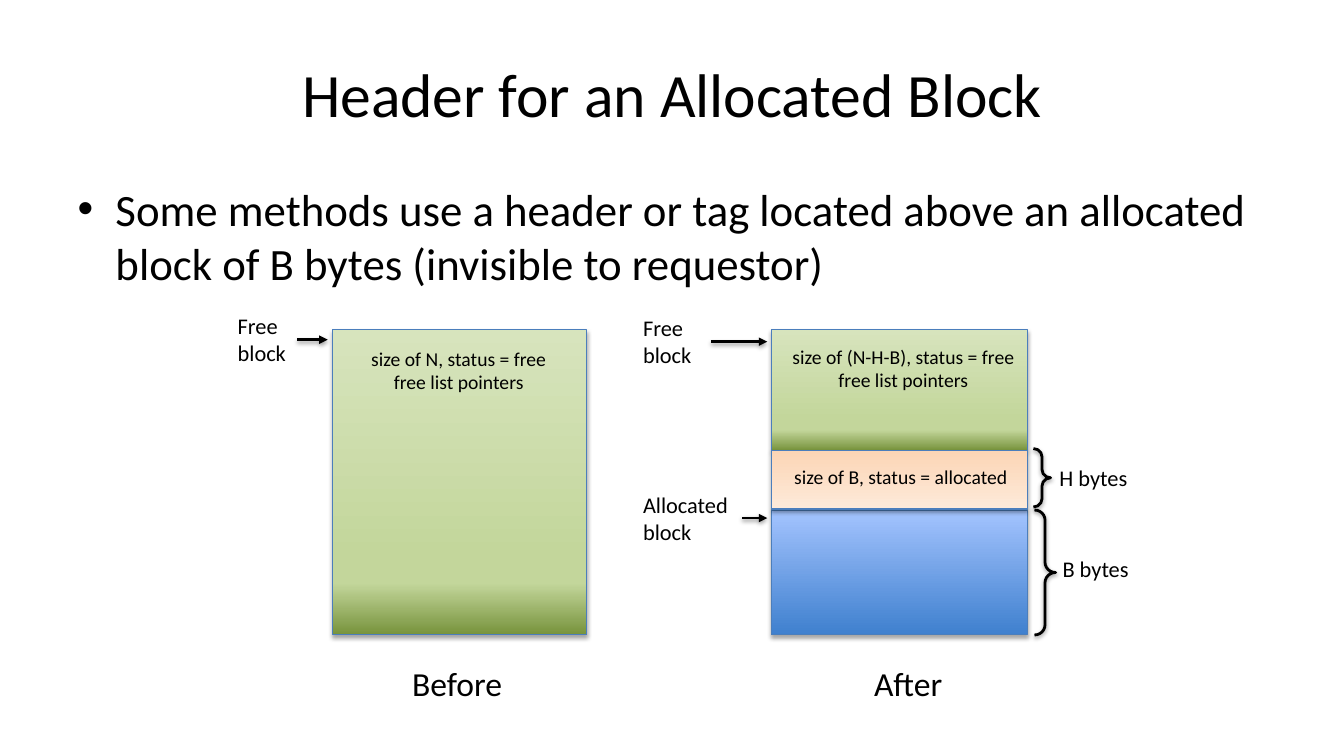
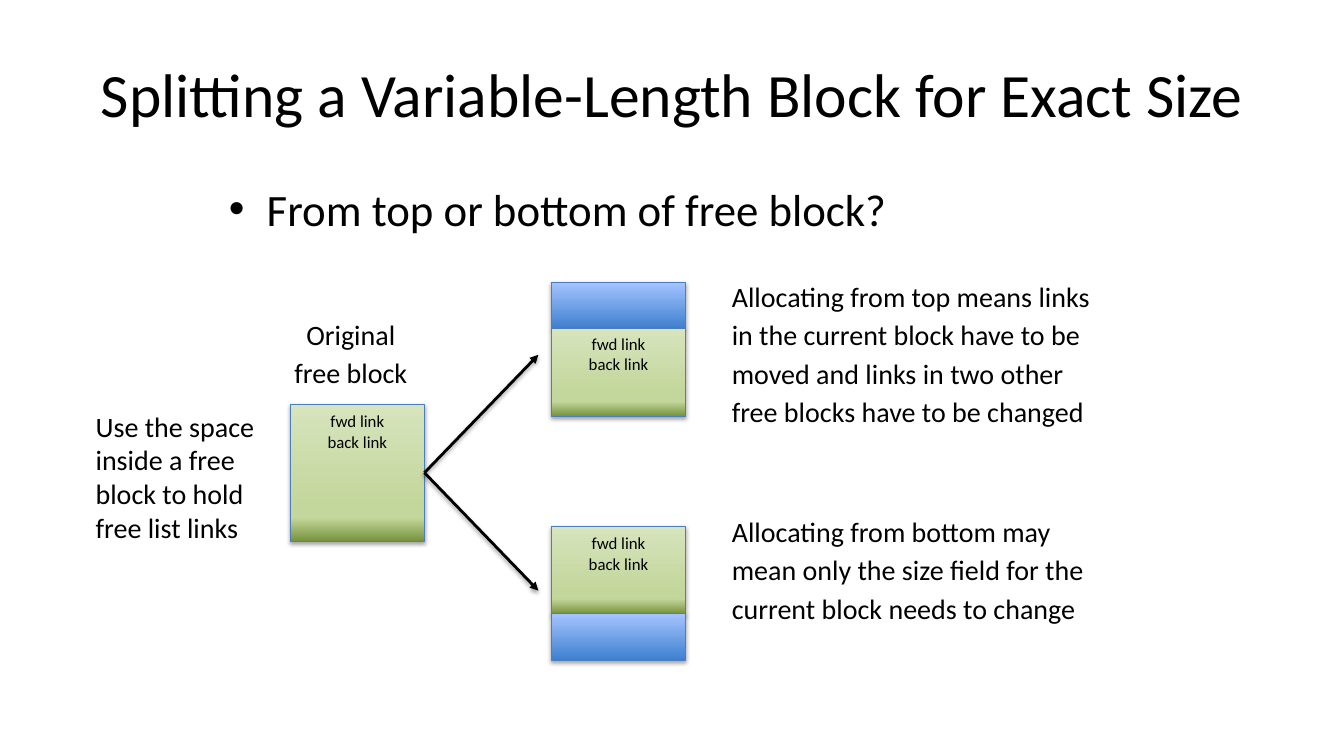
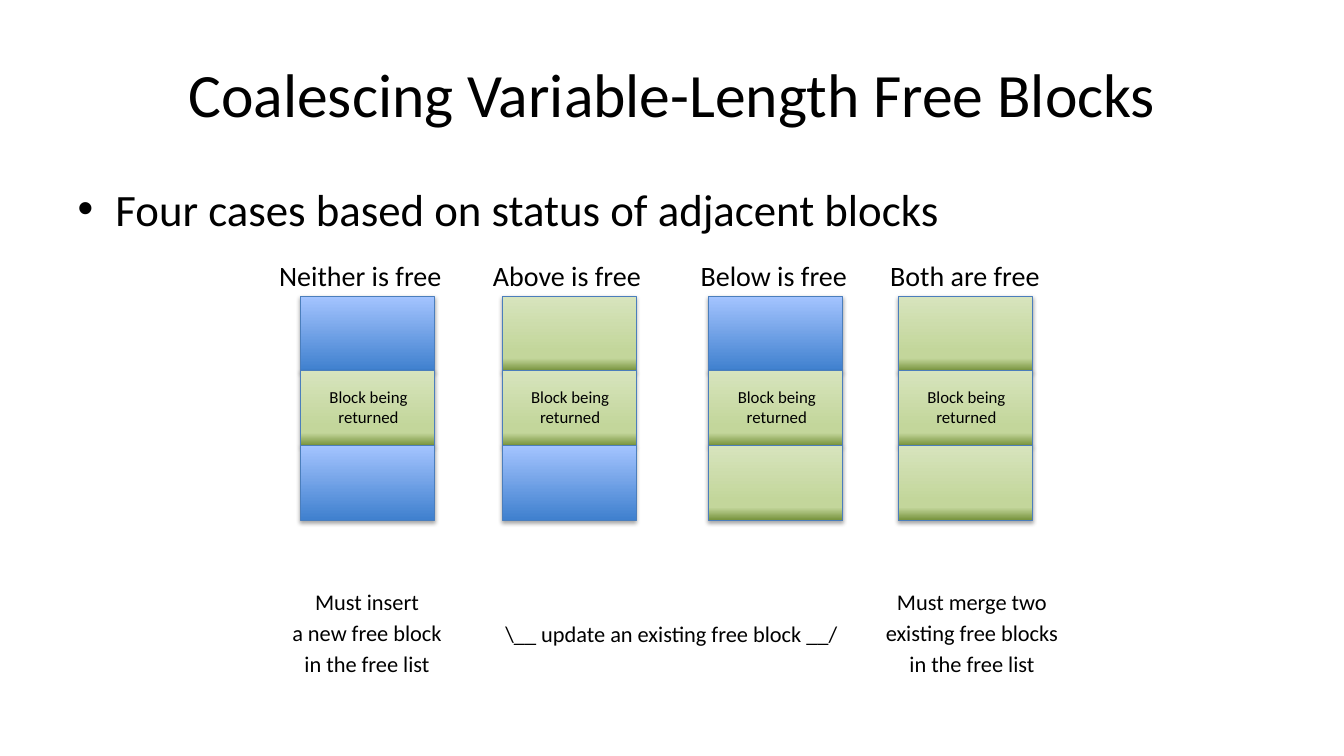
from dataclasses import dataclass
from itertools import product

from lxml.etree import SubElement
from pptx import Presentation
from pptx.dml.color import RGBColor
from pptx.enum.shapes import MSO_CONNECTOR, MSO_SHAPE
from pptx.enum.text import MSO_ANCHOR, PP_ALIGN
from pptx.oxml import parse_xml
from pptx.oxml.ns import nsdecls, qn
from pptx.slide import Slide
from pptx.util import Inches, Pt

COLORS = {
    "text": "000000",
    "outline": "4B7EBC",
    "shadow": "000000",
    "free_light": "D7E4BD",
    "free_mid": "C3D69B",
    "free_dark": "77933C",
    "allocated_light": "A4C4FF",
    "allocated_dark": "3F80CE",
    "header_light": "FDEADA",
    "header_dark": "FCD5B5",
}
GRADIENTS = {
    "free": [(0, "free_light"), (74, "free_mid"), (83, "free_mid"), (100, "free_dark")],
    "allocated": [(0, "allocated_light"), (100, "allocated_dark")],
    "header": [(0, "header_dark"), (100, "header_light")],
}
FONT_FORMAT = {"name": "Calibri", "bold": False}
FRAME_FORMAT = {"word_wrap": True, "vertical_anchor": MSO_ANCHOR.TOP}
BLOCK_WIDTH = 1.33
FREE_HEIGHT = 0.87
USED_HEIGHT = 0.46
ROW_HEIGHT = 0.74
LINKS = "fwd link\nback link"


@dataclass
class Block:
    status: str
    left: float
    top: float
    width: float
    height: float


@dataclass
class Label:
    text: str
    left: float
    top: float
    width: float
    height: float
    size: float
    align: PP_ALIGN = PP_ALIGN.LEFT
    gap: float = 0


@dataclass
class Arrow:
    start: tuple[float, float]
    end: tuple[float, float]


@dataclass
class Brace:
    left: float
    top: float
    width: float
    height: float


@dataclass
class Case:
    heading: str
    heading_left: float
    left: float
    above: str
    below: str


def rgb(color: str) -> RGBColor:
    return RGBColor.from_string(COLORS[color])


def box(item) -> tuple:
    return tuple(Inches(v) for v in (item.left, item.top, item.width, item.height))


def format_text(frame, size: float, align: PP_ALIGN, gap: float = 0) -> None:
    for paragraph in frame.paragraphs:
        paragraph.alignment = align
        if gap:
            paragraph.space_after = Pt(gap)
        for run in paragraph.runs:
            run.font.color.rgb = rgb("text")
            for name, value in {**FONT_FORMAT, "size": Pt(size)}.items():
                setattr(run.font, name, value)


def cast_shadow(drawn, opacity: int, distance: float) -> None:
    properties = drawn.element.spPr
    for effects in properties.findall(qn("a:effectLst")):
        properties.remove(effects)
    properties.append(parse_xml(
        f'<a:effectLst {nsdecls("a")}><a:outerShdw blurRad="{Pt(3.1)}" '
        f'dist="{Pt(distance)}" dir="5400000" rotWithShape="0">'
        f'<a:srgbClr val="{COLORS["shadow"]}"><a:alpha val="{opacity * 1000}"/>'
        "</a:srgbClr></a:outerShdw></a:effectLst>"))


def draw_line(drawn, color: str, width: float) -> None:
    drawn.line.color.rgb = rgb(color)
    drawn.line.width = Pt(width)


def add_block(slide: Slide, block: Block) -> None:
    rect = slide.shapes.add_shape(MSO_SHAPE.RECTANGLE, *box(block))
    rect.fill.background()
    stops = "".join(
        f'<a:gs pos="{position * 1000}"><a:srgbClr val="{COLORS[color]}"/></a:gs>'
        for position, color in GRADIENTS[block.status])
    gradient = parse_xml(
        f'<a:gradFill {nsdecls("a")} rotWithShape="1"><a:gsLst>{stops}</a:gsLst>'
        '<a:lin ang="5400000" scaled="0"/></a:gradFill>')
    properties = rect.element.spPr
    properties.replace(properties.find(qn("a:noFill")), gradient)
    draw_line(rect, "outline", 0.75)
    cast_shadow(rect, 35, 1.8)


def add_label(slide: Slide, label: Label) -> None:
    frame = slide.shapes.add_textbox(*box(label)).text_frame
    for name, value in FRAME_FORMAT.items():
        setattr(frame, name, value)
    frame.text = label.text
    format_text(frame, label.size, label.align, label.gap)


def add_arrow(slide: Slide, arrow: Arrow) -> None:
    ends = [Inches(v) for v in (*arrow.start, *arrow.end)]
    connector = slide.shapes.add_connector(MSO_CONNECTOR.STRAIGHT, *ends)
    draw_line(connector, "text", 2)
    SubElement(connector.element.spPr.find(qn("a:ln")), qn("a:tailEnd"), type="triangle")
    cast_shadow(connector, 38, 1.6)


def add_brace(slide: Slide, brace: Brace) -> None:
    curve = slide.shapes.add_shape(MSO_SHAPE.RIGHT_BRACE, *box(brace))
    curve.adjustments[0] = 0.48
    curve.fill.background()
    draw_line(curve, "text", 2)
    cast_shadow(curve, 38, 1.6)


DRAWERS = {Block: add_block, Label: add_label, Arrow: add_arrow, Brace: add_brace}


def add_slide(deck, title: str, bullet: str, parts: list,
              body_left: float = 0.67, body_width: float = 12) -> None:
    slide = deck.slides.add_slide(deck.slide_layouts[1])
    heading, body = slide.shapes.title, slide.placeholders[1]
    placements = [
        (heading, title, (0.67, 0.3, 12, 1.25), 44, PP_ALIGN.CENTER),
        (body, bullet, (body_left, 1.75, body_width, 4.95), 32, PP_ALIGN.LEFT),
    ]
    for placeholder, text, place, size, align in placements:
        for side, value in zip(("left", "top", "width", "height"), place):
            setattr(placeholder, side, Inches(value))
        placeholder.text_frame.text = text
        format_text(placeholder.text_frame, size, align)
    for part in parts:
        DRAWERS[type(part)](slide, part)


def centered(text: str, left: float, top: float, width: float, height: float,
             size: float, gap: float = 0) -> Label:
    return Label(text, left, top, width, height, size, PP_ALIGN.CENTER, gap)


def header_parts() -> list:
    return [
        Block("free", 3.3, 3.27, 2.52, 3.03),
        Block("free", 7.65, 3.27, 2.54, 1.2),
        Block("allocated", 7.65, 5.06, 2.54, 1.24),
        Block("header", 7.65, 4.47, 2.54, 0.58),
        Label("Free\nblock", 2.26, 3.05, 0.77, 0.64, 16),
        Label("Free\nblock", 6.28, 3.07, 0.77, 0.64, 16),
        Label("Allocated\nblock", 6.28, 4.82, 1.07, 0.64, 16),
        centered("size of N, status = free\nfree list pointers", 3.37, 3.39, 2.36, 0.57, 14),
        centered("size of B, status = allocated", 7.68, 4.56, 2.51, 0.34, 14),
        centered("size of (N-H-B), status = free\nfree list pointers",
                 7.73, 3.37, 2.46, 0.57, 14),
        Arrow((7.36, 5.14), (7.61, 5.14)),
        Arrow((7.05, 3.39), (7.61, 3.39)),
        Arrow((2.95, 3.37), (3.25, 3.37)),
        Brace(10.26, 5.06, 0.21, 1.24),
        Brace(10.25, 4.45, 0.17, 0.58),
        Label("B bytes", 10.44, 5.46, 0.94, 0.37, 16),
        Label("H bytes", 10.41, 4.56, 0.94, 0.37, 16),
        Label("Before", 3.99, 6.53, 1.14, 0.5, 24),
        Label("After", 8.57, 6.53, 0.95, 0.5, 24),
    ]


def splitting_parts() -> list:
    original_left, split_left = 2.88, 5.47
    link_inset, link_width = 0.15, 1.03
    return [
        Block("free", original_left, 4.01, BLOCK_WIDTH, 1.36),
        Block("free", split_left, 5.22, BLOCK_WIDTH, FREE_HEIGHT),
        Block("allocated", split_left, 5.22 + FREE_HEIGHT, BLOCK_WIDTH, USED_HEIGHT),
        Block("allocated", split_left, 2.8, BLOCK_WIDTH, USED_HEIGHT),
        Block("free", split_left, 2.8 + USED_HEIGHT, BLOCK_WIDTH, FREE_HEIGHT),
        *(Arrow((4.21, 4.69), (5.34, tip)) for tip in (3.52, 5.86)),
        *(centered(LINKS, left + link_inset, top, link_width, 0.5, 12)
          for left, top in ((original_left, 4.03), (split_left, 5.24), (split_left, 3.26))),
        Label("Use the space\ninside a free\nblock to hold\nfree list links",
              0.85, 4.01, 1.9, 1.45, 20),
        centered("Original\nfree block", 2.68, 3.1, 1.6, 0.9, 20, 3.5),
        Label("Allocating from top means links\nin the current block have to be\n"
              "moved and links in two other\nfree blocks have to be changed",
              7.16, 2.72, 4, 1.65, 20, gap=3.5),
        Label("Allocating from bottom may\nmean only the size field for the\n"
              "current block needs to change", 7.16, 5.05, 4, 1.25, 20, gap=3.5),
    ]


def coalescing_parts() -> list:
    statuses = product(("allocated", "free"), repeat=2)
    (neither, below, above, both) = statuses
    cases = [
        Case("Neither is free", 2.67, 2.98, *neither),
        Case("Above is free", 4.79, 4.98, *above),
        Case("Below is free", 6.85, 7.03, *below),
        Case("Both are free", 8.73, 8.91, *both),
    ]
    parts = []
    for case in cases:
        for row, status in enumerate((case.above, "free", case.below)):
            parts.append(Block(status, case.left, 2.94 + row * ROW_HEIGHT,
                               BLOCK_WIDTH, ROW_HEIGHT))
        parts.append(Label(case.heading, case.heading_left, 2.52, 1.95, 0.44, 20))
        parts.append(centered("Block being\nreturned", case.left + 0.1, 3.79, 1.15, 0.5, 12))
    return parts + [
        centered("Must insert\na new free block\nin the free list",
                 2.64, 5.79, 2, 1.05, 16, 2.6),
        centered("\\__ update an existing free block __/", 4.66, 6.1, 4, 0.37, 16),
        centered("Must merge two\nexisting free blocks\nin the free list",
                 8.64, 5.79, 2, 1.05, 16, 2.6),
    ]


def main() -> None:
    deck = Presentation()
    deck.slide_width, deck.slide_height = Inches(13.33), Inches(7.5)
    add_slide(deck, "Header for an Allocated Block",
              "Some methods use a header or tag located above an allocated "
              "block of B bytes (invisible to requestor)", header_parts())
    add_slide(deck, "Splitting a Variable-Length Block for Exact Size",
              "From top or bottom of free block?", splitting_parts(), 2.17, 9)
    add_slide(deck, "Coalescing Variable-Length Free Blocks",
              "Four cases based on status of adjacent blocks", coalescing_parts())
    deck.save("out.pptx")


main()
